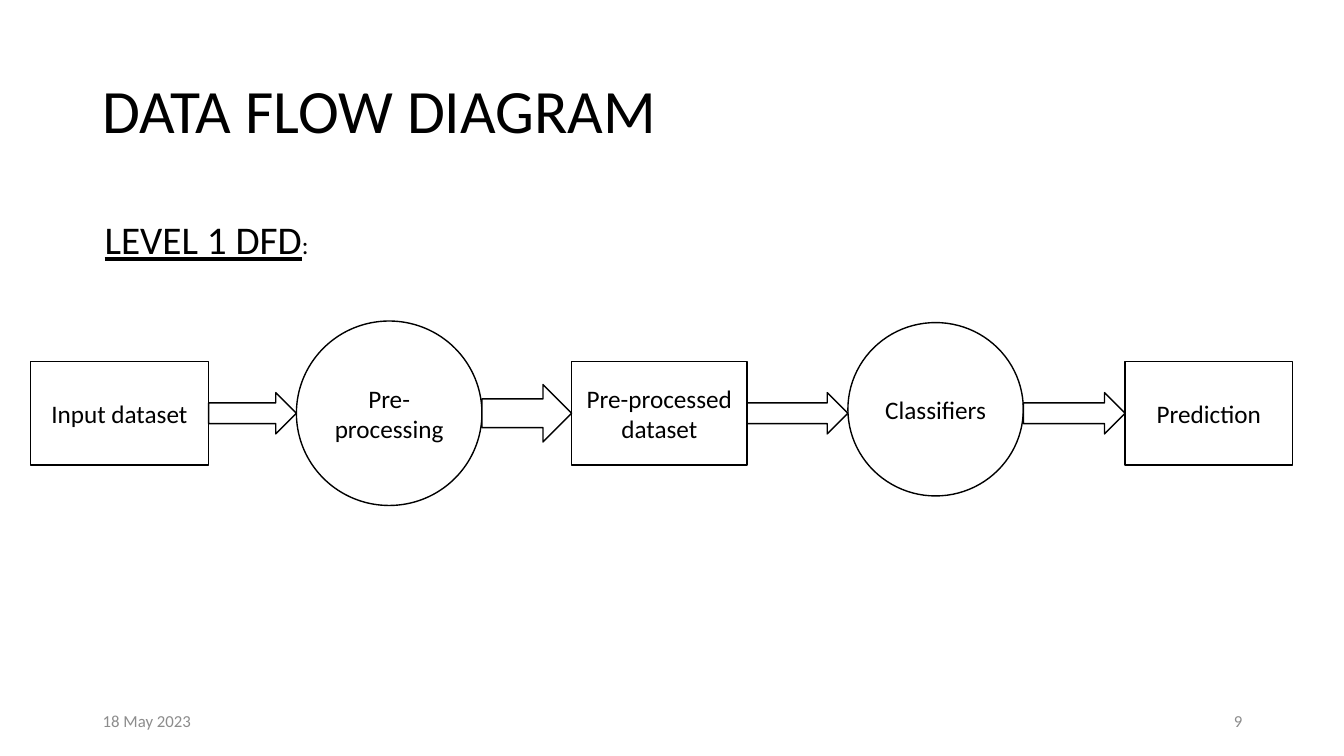
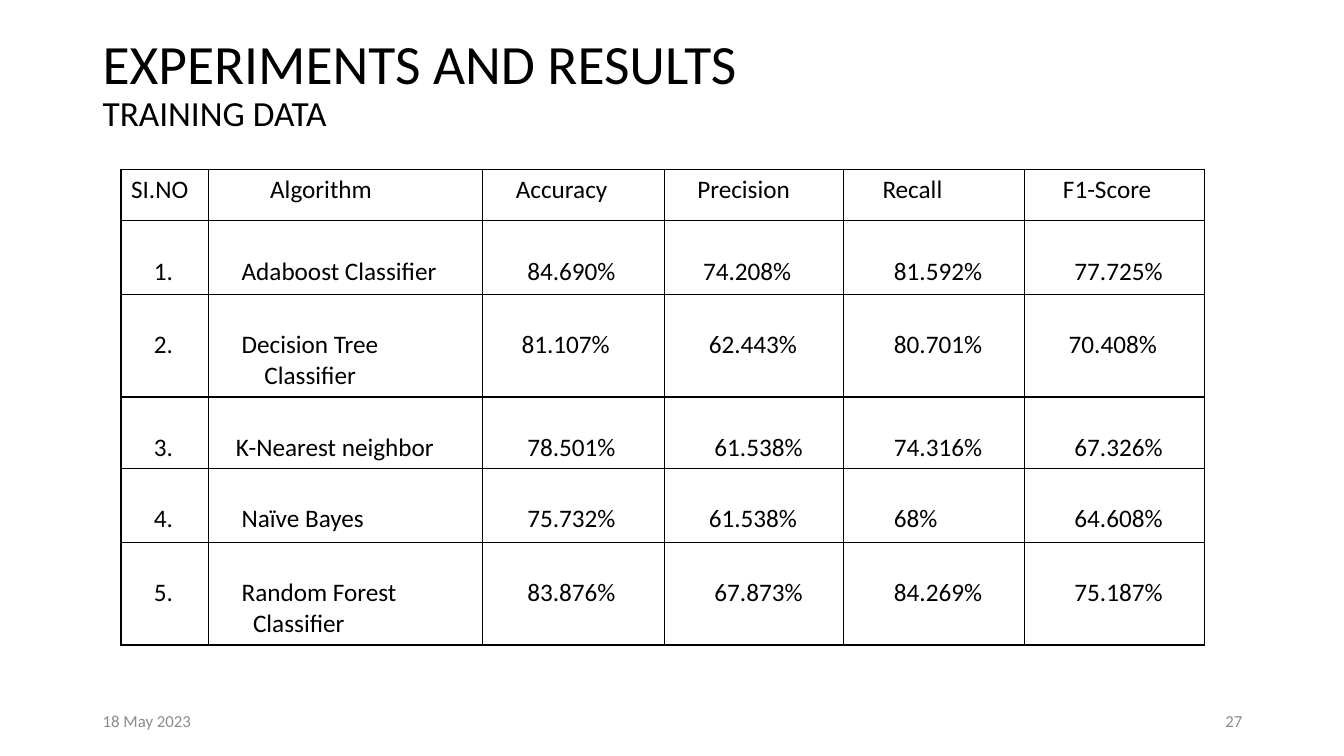
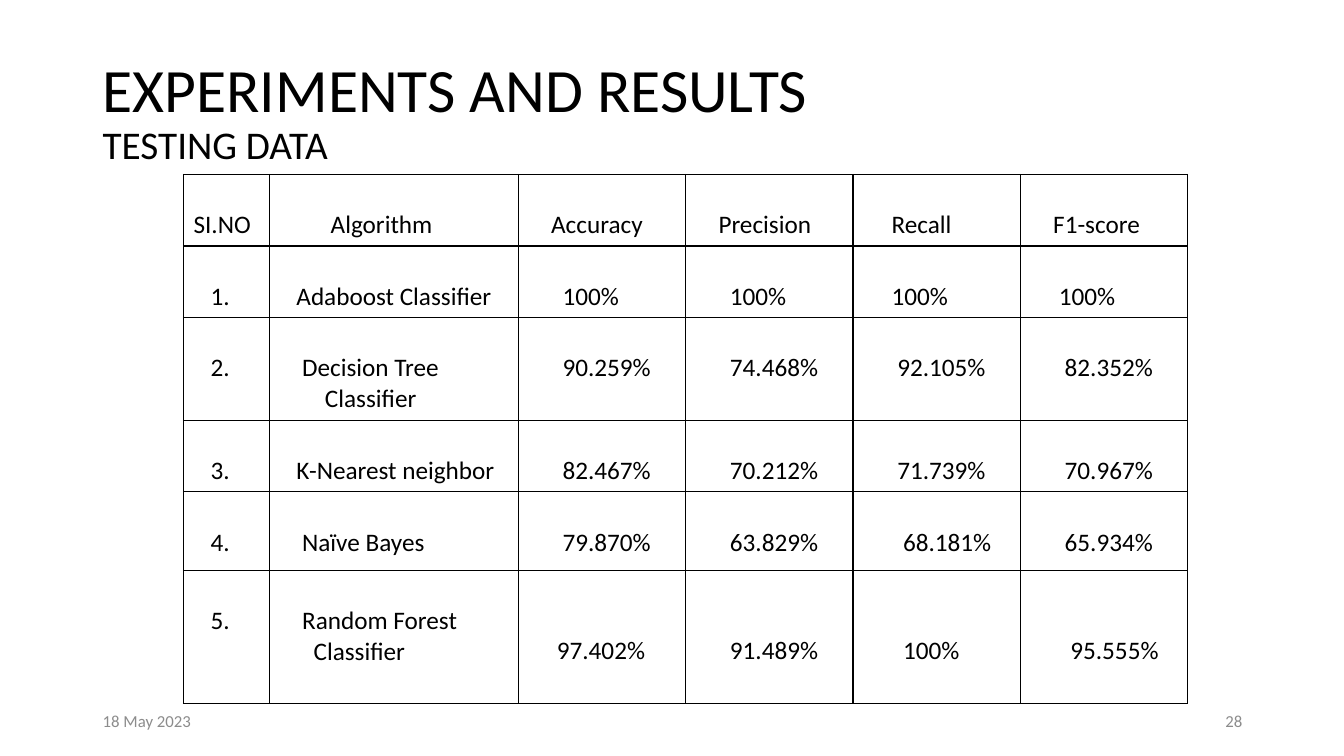
"""Build three project report slides: a data flow diagram and two result tables."""
from dataclasses import dataclass
from typing import NamedTuple

from lxml.etree import SubElement
from pptx import Presentation
from pptx.dml.color import RGBColor
from pptx.enum.shapes import MSO_SHAPE
from pptx.enum.text import MSO_ANCHOR, PP_ALIGN
from pptx.oxml.ns import qn
from pptx.util import Inches, Pt


@dataclass(frozen=True)
class Theme:
    font: str = "Calibri"
    ink: RGBColor = RGBColor(0, 0, 0)
    paper: RGBColor = RGBColor(255, 255, 255)
    muted: RGBColor = RGBColor(0x8C, 0x8C, 0x8C)
    title: float = 44
    subtitle: float = 28
    compact_title: float = 39.6
    compact_subtitle: float = 25.2
    body: float = 18
    footer: float = 12
    line: float = 1


THEME = Theme()
DATE = "18 May 2023"


class Box(NamedTuple):
    left: float
    top: float
    width: float
    height: float


class Span(NamedTuple):
    text: str
    size: float
    underline: bool = False


class Node(NamedTuple):
    text: str
    shape: MSO_SHAPE
    left: float
    width: float
    height: float
    middle: float = 4.1


@dataclass(frozen=True)
class Row:
    height: float
    texts: tuple[str, ...]
    indents: tuple[int, ...]
    tail_indent: int = 0
    drop: int = 1
    value_drop: int = 1


TITLE_BOX = Box(0.92, 0.4, 11.5, 1.45)
COMPACT_TITLE_BOX = Box(0.92, 0.33, 11.5, 1.03)
DATE_BOX = Box(0.92, 6.95, 3, 0.4)
NUMBER_BOX = Box(9.42, 6.95, 3, 0.4)

NODES = (
    Node("Input dataset", MSO_SHAPE.RECTANGLE, 0.3, 1.77, 1.03),
    Node("Pre-processing", MSO_SHAPE.OVAL, 2.94, 1.84, 1.83),
    Node("Pre-processed dataset", MSO_SHAPE.RECTANGLE, 5.67, 1.74, 1.03),
    Node("Classifiers", MSO_SHAPE.OVAL, 8.41, 1.74, 1.72, 4.06),
    Node("Prediction", MSO_SHAPE.RECTANGLE, 11.16, 1.66, 1.03),
)
ARROW_HEIGHTS = (0.41, 0.57, 0.41, 0.41)

TRAINING_COLUMNS = (0.87, 2.72, 1.8, 1.78, 1.79, 1.79)
TRAINING_ROWS = (
    Row(0.51, ("SI.NO", "Algorithm", "Accuracy", "Precision", "Recall", "F1-Score"),
        (0, 9, 4, 4, 5, 5), drop=0, value_drop=0),
    Row(0.73, ("1.", "Adaboost Classifier", "84.690%", "74.208%", "81.592%", "77.725%"),
        (4, 4, 6, 5, 7, 7)),
    Row(1.02, ("2.", "Decision Tree\nClassifier", "81.107%", "62.443%", "80.701%", "70.408%"),
        (4, 4, 5, 6, 7, 6), tail_indent=8),
    Row(0.71, ("3.", "K-Nearest neighbor", "78.501%", "61.538%", "74.316%", "67.326%"),
        (4, 3, 6, 7, 7, 7)),
    Row(0.73, ("4.", "Naïve Bayes", "75.732%", "61.538%", "68%", "64.608%"),
        (4, 4, 6, 6, 7, 7)),
    Row(1.02, ("5.", "Random Forest\nClassifier", "83.876%", "67.873%", "84.269%", "75.187%"),
        (4, 4, 6, 7, 7, 7), tail_indent=6),
)

TESTING_COLUMNS = (0.85, 2.47, 1.66, 1.66, 1.66, 1.66)
TESTING_ROWS = (
    Row(0.71, ("SI.NO", "Algorithm", "Accuracy", "Precision", "Recall", "F1-score"),
        (0, 9, 4, 4, 5, 4)),
    Row(0.71, ("1.", "Adaboost Classifier", "100%", "100%", "100%", "100%"),
        (3, 3, 6, 6, 5, 5)),
    Row(1.02, ("2.", "Decision Tree\nClassifier", "90.259%", "74.468%", "92.105%", "82.352%"),
        (3, 4, 6, 6, 6, 6), tail_indent=8),
    Row(0.71, ("3.", "K-Nearest neighbor", "82.467%", "70.212%", "71.739%", "70.967%"),
        (3, 3, 6, 6, 6, 6)),
    Row(0.78, ("4.", "Naïve Bayes", "79.870%", "63.829%", "68.181%", "65.934%"),
        (3, 4, 6, 6, 7, 6)),
    Row(1.32, ("5.", "Random Forest\nClassifier", "97.402%", "91.489%", "100%", "95.555%"),
        (3, 4, 5, 6, 7, 7), tail_indent=6, value_drop=2),
)


def style(p, color: RGBColor, size: float | None = None) -> None:
    p.font.name = THEME.font
    p.font.color.rgb = color
    if size:
        p.font.size = Pt(size)


def add_textbox(s, box: Box, anchor: MSO_ANCHOR = MSO_ANCHOR.MIDDLE):
    tf = s.shapes.add_textbox(*map(Inches, box)).text_frame
    tf.word_wrap = True
    tf.vertical_anchor = anchor
    return tf.paragraphs[0]


def add_span(p, span: Span) -> None:
    r = p.add_run()
    r.text = span.text
    r.font.size = Pt(span.size)
    if span.underline:
        r.font.underline = True


def add_title(s, box: Box, *lines: Span) -> None:
    p = add_textbox(s, box)
    p.line_spacing = 0.9
    style(p, THEME.ink)
    for i, line in enumerate(lines):
        if i:
            p.add_line_break()
        add_span(p, line)


def add_slide(prs, number: int):
    s = prs.slides.add_slide(prs.slide_layouts[6])
    for box, text, align in ((DATE_BOX, DATE, PP_ALIGN.LEFT),
                             (NUMBER_BOX, str(number), PP_ALIGN.RIGHT)):
        p = add_textbox(s, box)
        p.text = text
        p.alignment = align
        style(p, THEME.muted, THEME.footer)
    return s


def add_outline(s, kind: MSO_SHAPE, box: Box):
    sp = s.shapes.add_shape(kind, *map(Inches, box))
    sp.shadow.inherit = False
    sp.fill.solid()
    sp.fill.fore_color.rgb = THEME.paper
    sp.line.color.rgb = THEME.ink
    sp.line.width = Pt(THEME.line)
    return sp


def add_flow(s) -> None:
    for node in NODES:
        top = node.middle - node.height / 2
        sp = add_outline(s, node.shape, Box(node.left, top, node.width, node.height))
        tf = sp.text_frame
        tf.word_wrap = True
        tf.vertical_anchor = MSO_ANCHOR.MIDDLE
        p = tf.paragraphs[0]
        p.text = node.text
        p.alignment = PP_ALIGN.CENTER
        style(p, THEME.ink, THEME.body)
    for start, end, height in zip(NODES, NODES[1:], ARROW_HEIGHTS):
        left = start.left + start.width
        add_outline(s, MSO_SHAPE.RIGHT_ARROW,
                    Box(left, 4.1 - height / 2, end.left - left, height))


def add_borders(cell) -> None:
    tcPr = cell._tc.get_or_add_tcPr()
    for side in ("lnL", "lnR", "lnT", "lnB"):
        ln = SubElement(tcPr, qn(f"a:{side}"), w=str(Pt(THEME.line)))
        fill = SubElement(ln, qn("a:solidFill"))
        SubElement(fill, qn("a:srgbClr"), val=str(THEME.ink))


def fill_cell(cell, row: Row, column: int) -> None:
    add_borders(cell)
    cell.fill.background()
    drop = row.drop if column < 2 else row.value_drop
    cell.margin_top = Inches(0.05 + 0.3 * drop)
    tf = cell.text_frame
    tf.text = row.texts[column]
    for i, p in enumerate(tf.paragraphs):
        steps = row.tail_indent if i else row.indents[column]
        p._p.get_or_add_pPr().set("marL", str(Inches(0.17 * steps / 3)))
        style(p, THEME.ink, THEME.body)


def add_results(s, left: float, top: float, columns: tuple[float, ...],
                rows: tuple[Row, ...]) -> None:
    box = Box(left, top, sum(columns), sum(row.height for row in rows))
    table = s.shapes.add_table(len(rows), len(columns), *map(Inches, box)).table
    table.first_row = table.horz_banding = False
    for column, width in zip(table.columns, columns):
        column.width = Inches(width)
    for i, row in enumerate(rows):
        table.rows[i].height = Inches(row.height)
        for j in range(len(columns)):
            fill_cell(table.cell(i, j), row, j)


def build_flow_slide(prs) -> None:
    s = add_slide(prs, 9)
    add_title(s, TITLE_BOX, Span("DATA FLOW DIAGRAM", THEME.title))
    p = add_textbox(s, Box(0.94, 2.09, 4.53, 0.57), MSO_ANCHOR.TOP)
    style(p, THEME.ink)
    add_span(p, Span("LEVEL 1 DFD", THEME.subtitle, True))
    add_span(p, Span(":", THEME.body))
    add_flow(s)


def build_training_slide(prs) -> None:
    s = add_slide(prs, 27)
    add_title(s, COMPACT_TITLE_BOX, Span("EXPERIMENTS AND RESULTS", THEME.compact_title),
              Span("TRAINING DATA", THEME.compact_subtitle))
    add_results(s, 1.2, 1.68, TRAINING_COLUMNS, TRAINING_ROWS)


def build_testing_slide(prs) -> None:
    s = add_slide(prs, 28)
    add_title(s, TITLE_BOX, Span("EXPERIMENTS AND RESULTS", THEME.title),
              Span("TESTING DATA", THEME.subtitle))
    add_results(s, 1.82, 1.73, TESTING_COLUMNS, TESTING_ROWS)


def main() -> None:
    prs = Presentation()
    prs.slide_width, prs.slide_height = Inches(13.33), Inches(7.5)
    build_flow_slide(prs)
    build_training_slide(prs)
    build_testing_slide(prs)
    prs.save("out.pptx")


if __name__ == "__main__":
    main()
